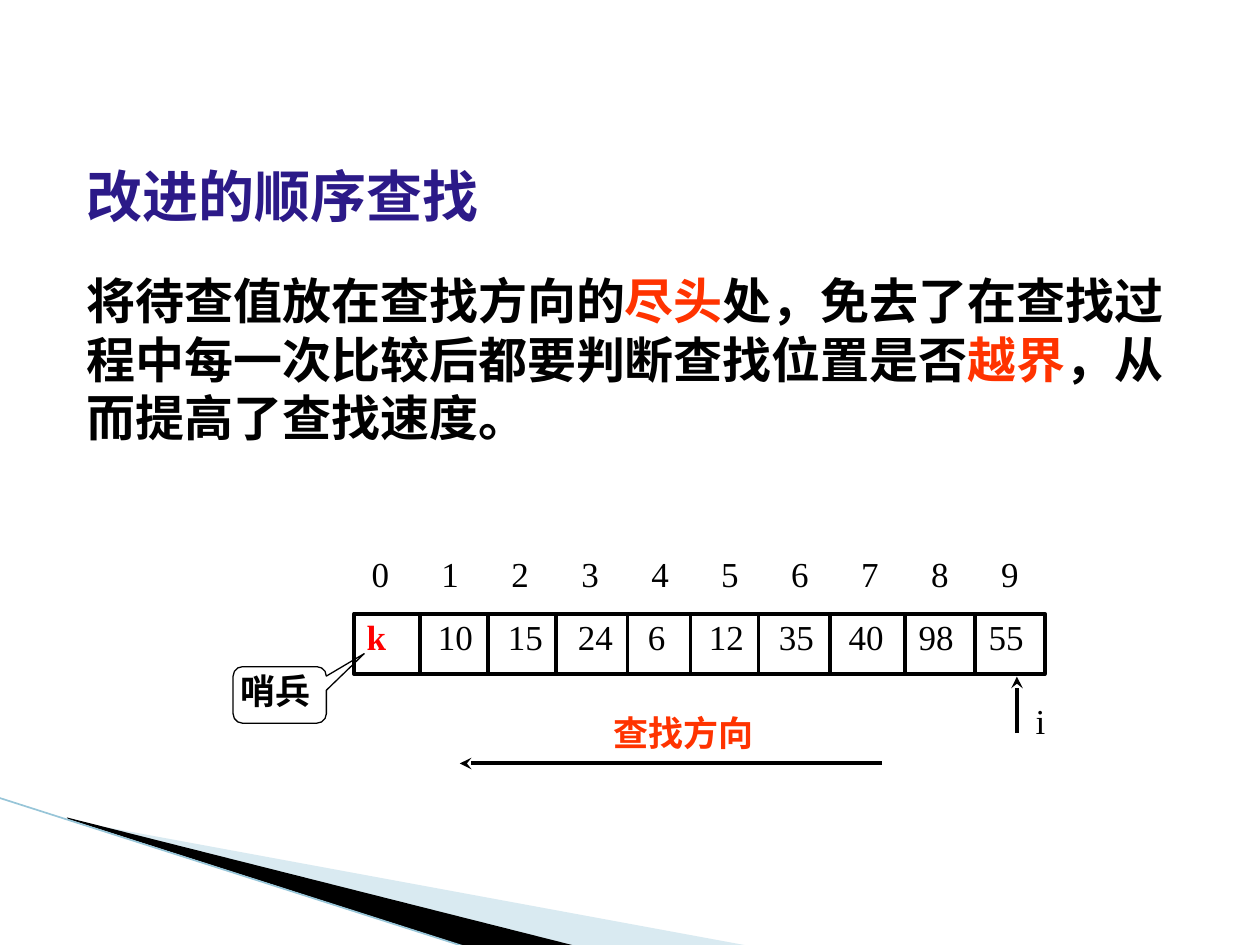
from pptx import Presentation
from pptx.dml.color import RGBColor as Rgb
from pptx.enum.shapes import MSO_CONNECTOR as Connector, MSO_SHAPE as Preset
from pptx.enum.text import MSO_ANCHOR as Anchor, PP_ALIGN as Align
from pptx.oxml.ns import qn
from pptx.util import Cm, Pt
from lxml.etree import SubElement

COLORS = {"ink": "000000", "title": "2C1A88", "accent": "FF3300", "key": "FF0000",
          "pale": "A0CBDC", "edge": "97C5D8"}
HEAD = {"name": "Noto Sans CJK SC", "size": Pt(32), "bold": True}
BODY = {**HEAD, "size": Pt(28)}
LABEL = {"name": "Times New Roman", "size": Pt(20), "bold": False}
STRONG = {**LABEL, "bold": True}
EAST_ASIAN = "Noto Sans CJK SC"


class SlideBuilder:
    def __init__(self, slide):
        self.slide = slide
        self.shapes = slide.shapes

    def color(self, name):
        return Rgb.from_string(COLORS[name])

    def set_text(self, shape, runs, style, insets=(0, 0, 0, 0), tabs=(), spacing=None):
        frame = shape.text_frame
        layout = {"word_wrap": True, "vertical_anchor": Anchor.TOP}
        sides = ("margin_left", "margin_top", "margin_right", "margin_bottom")
        layout.update(zip(sides, map(Cm, insets)))
        for key, value in layout.items():
            setattr(frame, key, value)
        paragraph = frame.paragraphs[0]
        if tabs:
            stops = SubElement(paragraph._p.get_or_add_pPr(), qn("a:tabLst"))
            for stop in tabs:
                SubElement(stops, qn("a:tab"), pos=str(Cm(stop)), algn="l")
        paragraph.alignment = Align.LEFT
        if spacing:
            paragraph.line_spacing = spacing
        for words, color, *override in runs:
            run = paragraph.add_run()
            run.text = words
            for key, value in (override[0] if override else style).items():
                setattr(run.font, key, value)
            run.font.color.rgb = self.color(color)
            SubElement(run._r.get_or_add_rPr(), qn("a:ea"), typeface=EAST_ASIAN)

    def text(self, box, runs, style, **options):
        self.set_text(self.shapes.add_textbox(*map(Cm, box)), runs, style, **options)

    def outline(self, preset, box, weight, runs, style, adjustments=(), **options):
        shape = self.shapes.add_shape(preset, *map(Cm, box))
        shape.shadow.inherit = False
        shape.fill.background()
        shape.line.color.rgb = self.color("ink")
        shape.line.width = Pt(weight)
        for index, value in enumerate(adjustments):
            shape.adjustments[index] = value
        self.set_text(shape, runs, style, **options)

    def line(self, start, end, color="ink", weight=2.25, arrow=False):
        line = self.shapes.add_connector(Connector.STRAIGHT, *map(Cm, start + end))
        line.line.color.rgb = self.color(color)
        line.line.width = Pt(weight)
        if arrow:
            SubElement(line._element.spPr.find(qn("a:ln")), qn("a:tailEnd"), type="stealth")
        SubElement(line._element.spPr, qn("a:effectLst"))

    def wedge(self, points, color, opacity=100):
        corners = [(Cm(x), Cm(y)) for x, y in points]
        builder = self.shapes.build_freeform(*corners[0])
        builder.add_line_segments(corners[1:])
        shape = builder.convert_to_shape()
        shape.shadow.inherit = False
        shape.fill.solid()
        shape.fill.fore_color.rgb = self.color(color)
        shape.line.fill.background()
        if opacity < 100:
            tint = shape._element.spPr.find(qn("a:solidFill"))[0]
            SubElement(tint, qn("a:alpha"), val=str(opacity * 1000))


def main():
    deck = Presentation()
    deck.slide_width, deck.slide_height = Cm(25.4), Cm(19.05)
    page = SlideBuilder(deck.slides.add_slide(deck.slide_layouts[6]))

    page.wedge([(1.4, 16.54), (15.11, 19.07), (11.58, 19.07), (1.4, 16.51)], "pale", 40)
    page.wedge([(1.35, 16.48), (11.61, 19.07), (9.45, 19.1), (1.37, 16.51)], "ink")
    page.line((-0.03, 16.08), (9.42, 19.1), "edge", 0.95)

    padding = (0.25, 0.13, 0.25, 0.13)
    page.text((1.5, 3.12, 9.19, 1.63), [("改进的顺序查找", "title")], HEAD,
              insets=padding, spacing=Pt(38.5))
    page.text((1.5, 5.33, 22.61, 3.81), [
        ("将待查值放在查找方向的", "ink"), ("尽头", "accent"),
        ("处，免去了在查找过程中每一次比较后都要判断查找位置是否", "ink"),
        ("越界", "accent"), ("，从而提高了查找速度。", "ink"),
    ], BODY, insets=padding, spacing=Pt(33.5))

    step = 1.41
    values = [10, 15, 24, 6, 12, 35, 40, 98, 55]
    value_tabs = [step * i + (0.03 if i < 5 else -0.15) for i in range(1, 10)]
    array_top, divider_bottom = 12.37, 13.54
    page.outline(Preset.RECTANGLE, (7.14, array_top, 13.92, 1.22), 2.25,
                 [("k", "key", STRONG), ("".join(f"\t{v}" for v in values), "ink")],
                 LABEL, insets=(0.25, 0.03, 0.25, 0.03), tabs=value_tabs)
    for x in (8.46, 9.83, 11.2, 12.65, 13.92, 15.29, 16.74, 18.24, 19.66):
        page.line((x, array_top), (x, divider_bottom))
    page.text((7.34, 11.13, 13.84, 1.02), [("\t".join(map(str, range(10))), "ink")],
              LABEL, insets=(0.15, 0, 0.25, 0.03), tabs=[step * i for i in range(1, 10)])

    page.line((20.5, 14.78), (20.5, 13.64), arrow=True)
    page.text((20.88, 14.1, 0.76, 1.14), [("i", "ink")], LABEL)
    page.text((12.37, 14.35, 3.1, 1.14), [("查找方向", "accent")], STRONG)
    page.line((17.78, 15.39), (9.27, 15.39), arrow=True)
    page.outline(Preset.ROUNDED_RECTANGULAR_CALLOUT, (4.7, 13.44, 1.88, 1.14), 0.75,
                 [("哨兵", "ink")], STRONG, adjustments=(0.906, -0.73, 0.167),
                 insets=(0.1, 0, 0, 0))
    deck.save("out.pptx")


if __name__ == "__main__":
    main()
